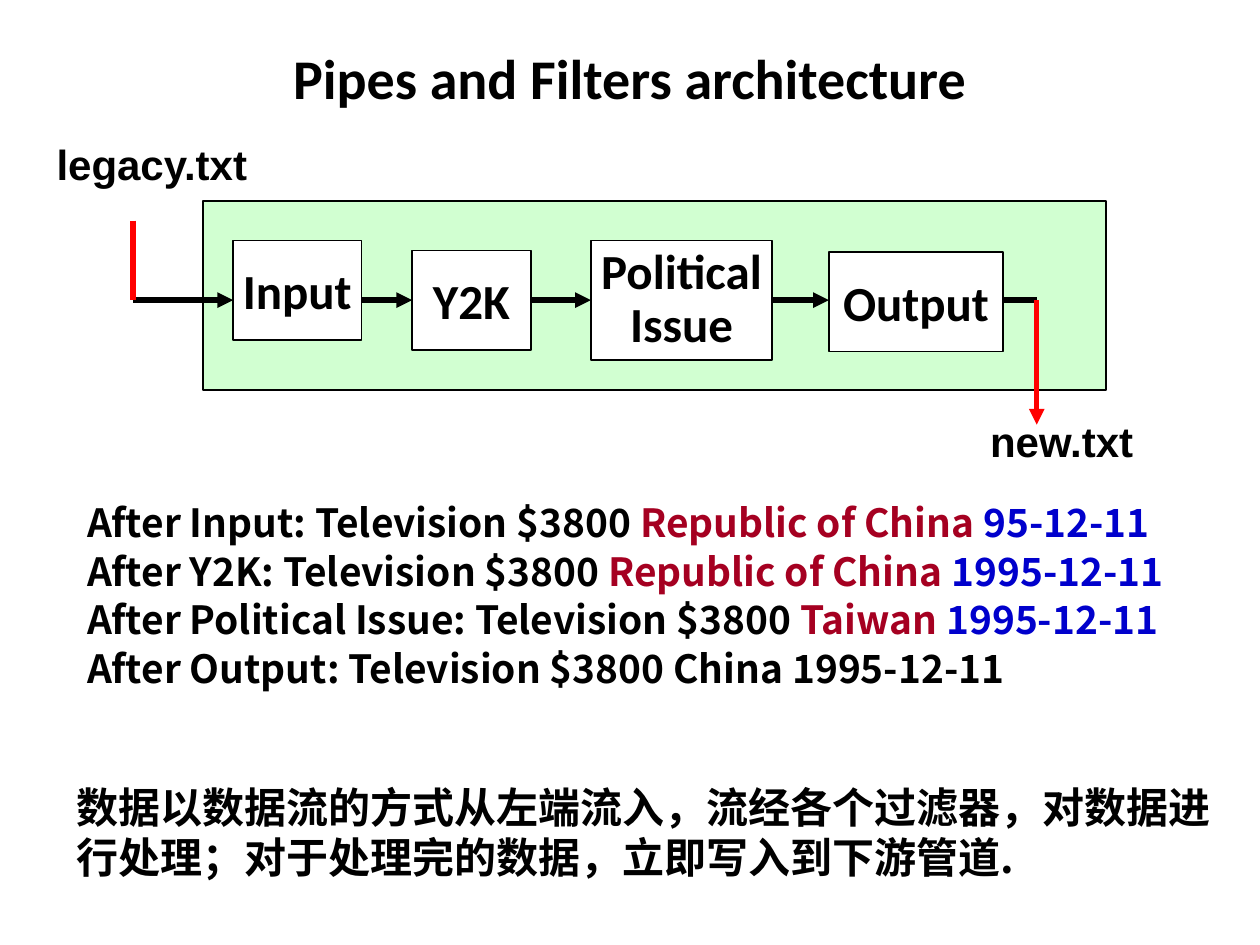
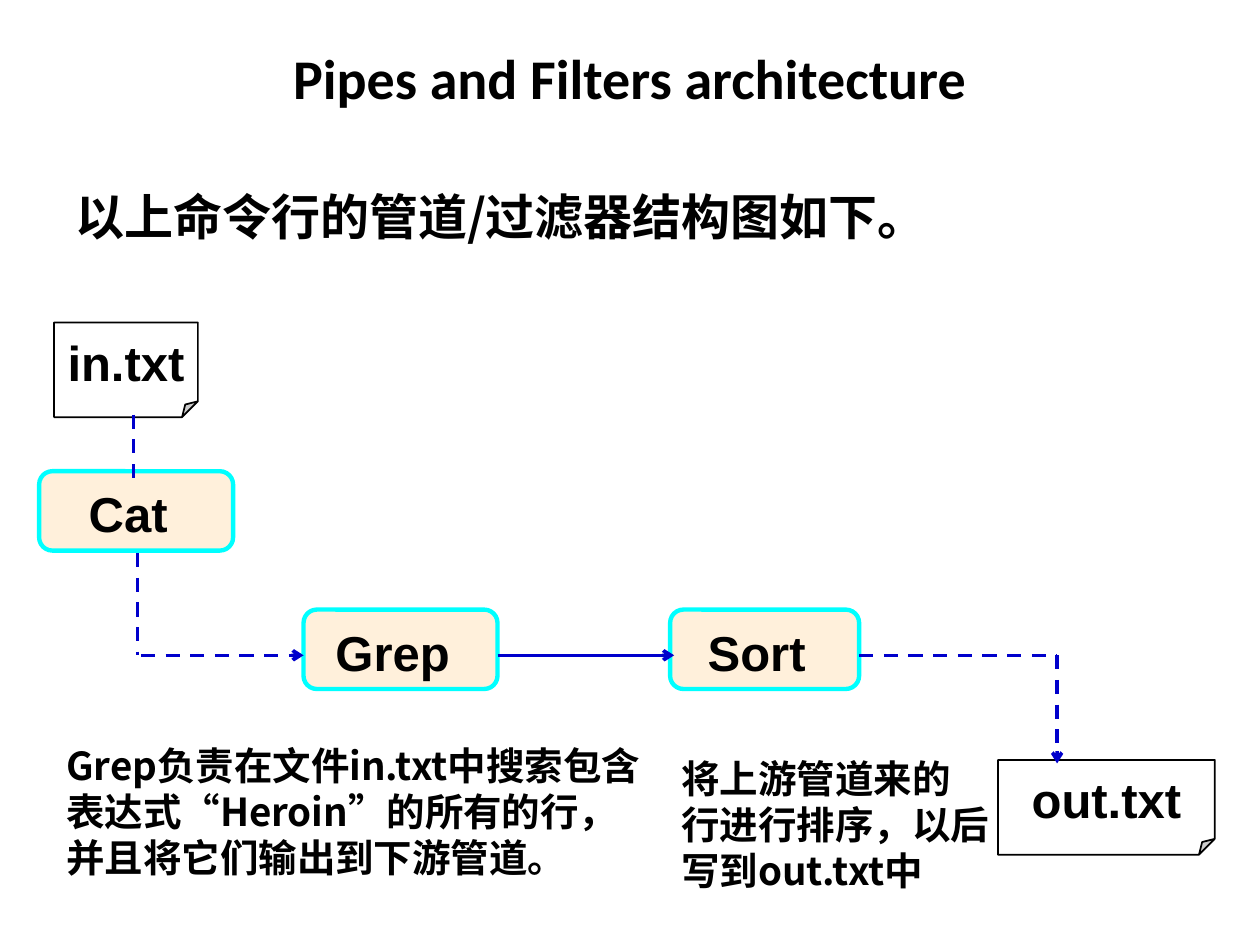
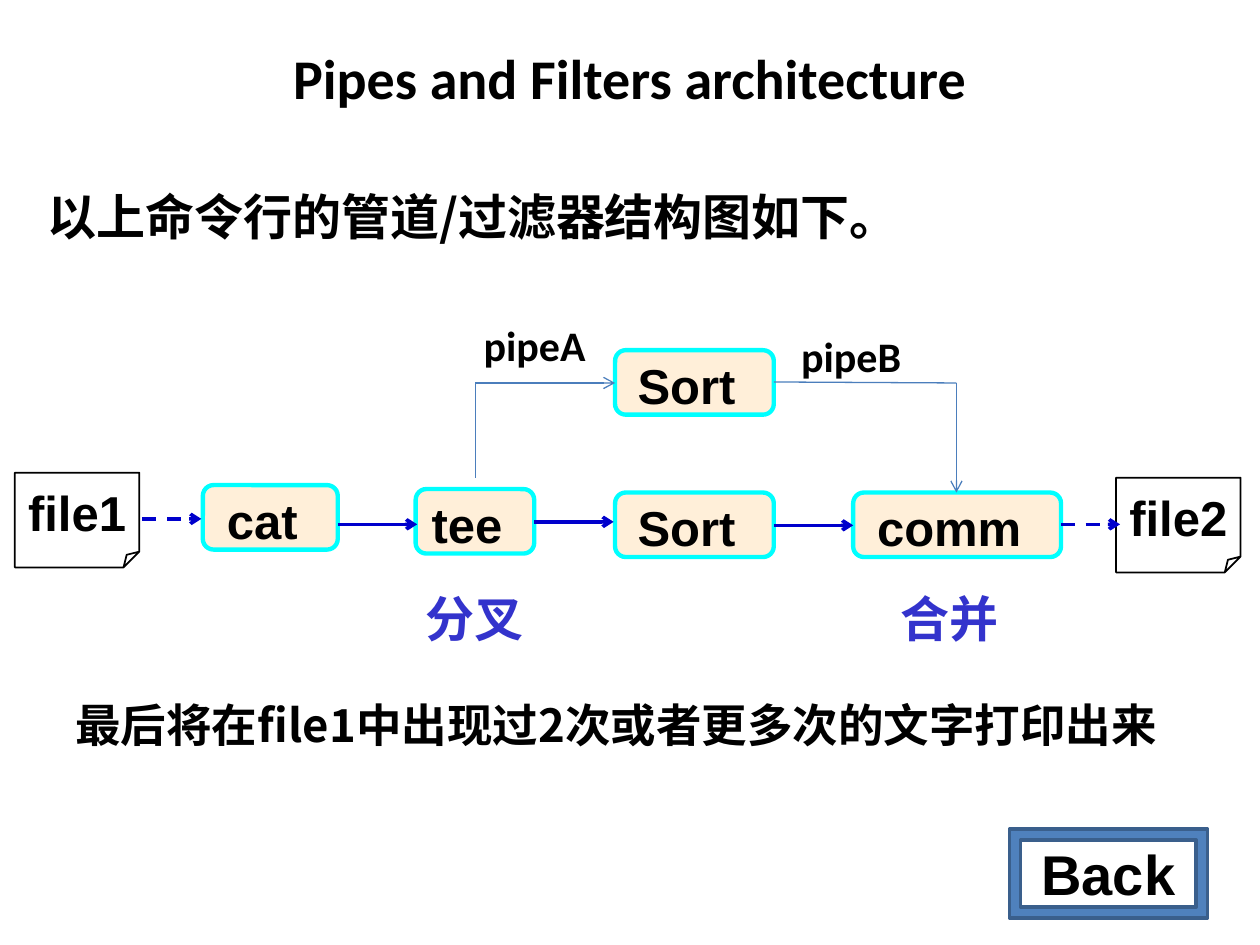
from dataclasses import dataclass

from lxml import etree
from pptx import Presentation
from pptx.dml.color import RGBColor
from pptx.enum.dml import MSO_LINE
from pptx.enum.shapes import MSO_CONNECTOR, MSO_SHAPE
from pptx.enum.text import MSO_ANCHOR, MSO_AUTO_SIZE, PP_ALIGN
from pptx.oxml.ns import qn
from pptx.util import Cm, Pt

RECT = MSO_SHAPE.RECTANGLE
ROUND = MSO_SHAPE.ROUNDED_RECTANGLE
FOLDED = MSO_SHAPE.FOLDED_CORNER
FRAME = MSO_SHAPE.FRAME
STRAIGHT = MSO_CONNECTOR.STRAIGHT
DASH = MSO_LINE.DASH
LEFT, CENTER = PP_ALIGN.LEFT, PP_ALIGN.CENTER
TOP, MIDDLE = MSO_ANCHOR.TOP, MSO_ANCHOR.MIDDLE
NO_FIT = MSO_AUTO_SIZE.NONE


@dataclass(frozen=True)
class Theme:
    heading: str = "Calibri"
    label: str = "Arial"
    text: str = "Noto Sans CJK SC"
    black: str = "000000"
    white: str = "FFFFFF"
    red: str = "FF0000"
    crimson: str = "A50021"
    blue: str = "0000CC"
    indigo: str = "3333CC"
    green: str = "00FF00"
    orange: str = "FF9900"
    cyan: str = "00FFFF"
    branch: str = "4B7EBC"
    button: str = "4F81BD"
    button_edge: str = "3A5F8C"
    title_size: float = 32
    box_size: float = 28
    print_size: float = 26
    note_size: float = 24
    trace_size: float = 22.2
    caption_size: float = 22


T = Theme()
TITLE = "Pipes and Filters architecture"
INTRO = "以上命令行的管道/过滤器结构图如下。"


def rgb(value):
    return RGBColor.from_string(value)


def write(tf, text, *, size, font=T.text, color=T.black, align=LEFT,
          anchor=TOP, wrap=True, before=0, spacing=None, hang=0, insets=None):
    tf.word_wrap = wrap
    tf.auto_size = NO_FIT
    tf.vertical_anchor = anchor
    if insets:
        (tf.margin_left, tf.margin_top,
         tf.margin_right, tf.margin_bottom) = [Cm(v) for v in insets]
    lines = [text] if isinstance(text, str) else text
    for i, line in enumerate(lines):
        p = tf.add_paragraph() if i else tf.paragraphs[0]
        p.alignment = align
        p.space_before = Pt(before if i else 0)
        if spacing:
            p.line_spacing = spacing
        pPr = p._p.get_or_add_pPr()
        pPr.set("marL", str(Cm(hang)))
        pPr.set("indent", str(-Cm(hang)))
        etree.SubElement(pPr, qn("a:buNone"))
        runs = [(line, color)] if isinstance(line, str) else line
        for part, part_color in runs:
            r = p.add_run()
            r.text = part
            r.font.name = font
            r.font.size = Pt(size)
            r.font.bold = True
            r.font.color.rgb = rgb(part_color)
            ea = etree.SubElement(r._r.get_or_add_rPr(), qn("a:ea"))
            ea.set("typeface", T.text)


class Deck:
    def __init__(self):
        self.prs = Presentation()
        self.prs.slide_width = Cm(25.4)
        self.prs.slide_height = Cm(19.05)
        self.s = None

    def slide(self, body, at, **fmt):
        self.s = self.prs.slides.add_slide(self.prs.slide_layouts[1])
        title, content = self.s.placeholders
        self.place(title, (1.27, 0.74, 22.86, 1.4))
        write(title.text_frame, TITLE, size=T.title_size, font=T.heading,
              align=CENTER)
        self.place(content, at)
        write(content.text_frame, body, hang=0.97, **fmt)

    def place(self, sp, at):
        sp.left, sp.top, sp.width, sp.height = [Cm(v) for v in at]

    def text(self, text, at, **fmt):
        sp = self.s.shapes.add_textbox(*[Cm(v) for v in at])
        write(sp.text_frame, text, **fmt)

    def shape(self, kind, at, fill=T.white, alpha=None, edge=T.black, width=1):
        sp = self.s.shapes.add_shape(kind, *[Cm(v) for v in at])
        sp.shadow.inherit = False
        if fill:
            sp.fill.solid()
            sp.fill.fore_color.rgb = rgb(fill)
        else:
            sp.fill.background()
        if alpha:
            clr = sp._element.spPr.find(qn("a:solidFill"))[0]
            etree.SubElement(clr, qn("a:alpha")).set("val", str(alpha * 1000))
        sp.line.color.rgb = rgb(edge)
        sp.line.width = Pt(width)
        return sp

    def stage(self, text, at):
        sp = self.shape(RECT, at)
        write(sp.text_frame, text, size=T.box_size, font=T.heading,
              align=CENTER, anchor=MIDDLE, wrap=False,
              spacing=None if isinstance(text, str) else 0.9)

    def command(self, text, at, alpha):
        sp = self.shape(ROUND, at, T.orange, alpha, T.cyan, 2.5)
        write(sp.text_frame, text, size=T.box_size, font=T.label,
              align=CENTER, anchor=MIDDLE, wrap=False,
              insets=(0, 0.1, 0.32, 0))

    def file(self, text, at, fill=T.white):
        sp = self.shape(FOLDED, at, fill)
        write(sp.text_frame, text, size=T.box_size, font=T.label,
              align=CENTER, wrap=False, insets=(0.25, 0.2, 0.25, 0.2))

    def button(self, text, at):
        sp = self.shape(FRAME, at, T.button, edge=T.button_edge, width=2)
        write(sp.text_frame, text, size=T.title_size, font=T.label,
              align=CENTER, anchor=MIDDLE)

    def line(self, x1, y1, x2, y2, color=T.blue, width=2, dash=False,
             head=None):
        c = self.s.shapes.add_connector(
            STRAIGHT, Cm(x1), Cm(y1), Cm(x2), Cm(y2))
        c.line.color.rgb = rgb(color)
        c.line.width = Pt(width)
        if dash:
            c.line.dash_style = DASH
        if head:
            ln = c.line._get_or_add_ln()
            etree.SubElement(ln, qn("a:tailEnd")).set("type", head)
        etree.SubElement(c._element.spPr, qn("a:effectLst"))


def legacy_pipeline(deck):
    traces = [
        ("Input", "Republic of China ", "95-12-11"),
        ("Y2K", "Republic of China ", "1995-12-11"),
        ("Political Issue", "Taiwan ", "1995-12-11"),
    ]
    body = [[(f"After {step}: Television $3800 ", T.black),
             (place, T.crimson), (date, T.blue)]
            for step, place, date in traces]
    body.append("After Output: Television $3800 China 1995-12-11")
    deck.slide(body, (1.5, 9.93, 23.39, 5), size=T.trace_size, before=1.1)
    deck.text("数据以数据流的方式从左端流入，流经各个过滤器，对数据进行处理；"
              "对于处理完的数据，立即写入到下游管道.",
              (1.3, 15.62, 23.39, 2.31), size=T.note_size)
    deck.shape(RECT, (4.09, 4.06, 18.21, 3.81), T.green, 18)

    pipe_y, source_x, sink_x = 6.05, 2.69, 20.9
    stages = [
        ("Input", (4.7, 4.85, 2.59, 2.01)),
        ("Y2K", (8.31, 5.05, 2.39, 2.01)),
        (["Political", "Issue"], (11.91, 4.85, 3.66, 2.41)),
        ("Output", (16.71, 5.08, 3.51, 2.01)),
    ]
    x = source_x
    for text, at in stages:
        deck.stage(text, at)
        deck.line(x, pipe_y, at[0], pipe_y, T.black, 3, head="triangle")
        x = at[0] + at[2]
    deck.line(x, pipe_y, sink_x, pipe_y, T.black, 3)
    deck.line(source_x, 4.45, source_x, pipe_y, T.red, 3.5)
    deck.line(sink_x, pipe_y, sink_x, 8.56, T.red, 3, head="triangle")
    for name, at in [("legacy.txt", (0.89, 2.67, 4.8, 1.27)),
                     ("new.txt", (19.71, 8.26, 3.61, 1.27))]:
        deck.text(name, at, size=T.note_size, font=T.label)


def grep_sort(deck):
    deck.slide(INTRO, (1.27, 3.63, 18.24, 1.8), size=T.box_size)
    for name, x, y, w in [("Grep", 6.12, 12.29, 3.91),
                          ("Sort", 13.51, 12.29, 3.81),
                          ("Cat", 0.79, 9.5, 3.91)]:
        deck.command(name, (x, y, w, 1.6), 14)
    deck.file("in.txt", (1.09, 6.5, 2.9, 1.91))
    deck.file("out.txt", (20.12, 15.32, 4.37, 1.91))

    pipe_y = 13.21
    deck.line(10.03, pipe_y, 13.59, pipe_y, head="arrow")
    for ends, head in [((2.69, 8.36, 2.69, 9.73), None),
                       ((2.77, 11.15, 2.77, pipe_y), None),
                       ((2.84, pipe_y, 6.12, pipe_y), "arrow"),
                       ((17.32, pipe_y, 21.31, pipe_y), None),
                       ((21.31, pipe_y, 21.31, 15.39), "arrow")]:
        deck.line(*ends, dash=True, head=head)

    deck.text(["Grep负责在文件in.txt中搜索包含",
               "表达式“Heroin”的所有的行，",
               "并且将它们输出到下游管道。"],
              (1.09, 14.83, 12.34, 3.07), size=T.caption_size)
    deck.text(["将上游管道来的", "行进行排序，以后", "写到out.txt中"],
              (13.49, 15.09, 6.78, 3.07), size=T.caption_size)


def tee_comm(deck):
    deck.slide(INTRO, (0.71, 3.63, 17.88, 1.8), size=T.box_size)
    for text, x in [("分叉", 7.87), ("合并", 17.45)]:
        deck.text(text, (x, 11.73, 3.4, 1.45), size=T.box_size,
                  font=T.label, color=T.indigo, align=CENTER)
    for name, x, y, w in [("cat", 4.09, 9.78, 2.72),
                          ("tee", 8.38, 9.86, 2.39),
                          ("Sort", 12.4, 7.06, 3.2),
                          ("Sort", 12.4, 9.93, 3.2),
                          ("comm", 17.2, 9.93, 4.19)]:
        deck.command(name, (x, y, w, 1.3), 15)
    for name, x, y in [("file1", 0.3, 9.53), ("file2", 22.5, 9.63)]:
        deck.file(name, (x, y, 2.51, 1.91), fill=None)

    for x1, x2, y, dash in [(2.87, 4.06, 10.46, True),
                            (6.81, 8.41, 10.57, False),
                            (10.77, 12.37, 10.52, False),
                            (15.6, 17.2, 10.59, False),
                            (21.39, 22.58, 10.57, True)]:
        deck.line(x1, y, x2, y, dash=dash, head="arrow")
    for ends, head in [((9.58, 9.63, 9.58, 7.72), None),
                       ((9.58, 7.72, 12.4, 7.72), "arrow"),
                       ((15.6, 7.7, 19.28, 7.72), None),
                       ((19.28, 7.72, 19.28, 9.93), "arrow")]:
        deck.line(*ends, T.branch, 0.75, head=head)
    for name, x, y in [("pipeA", 9.5, 6.32), ("pipeB", 15.9, 6.53)]:
        deck.text(name, (x, y, 2.79, 1.27), size=T.note_size, font=T.heading)

    deck.text("最后将在file1中出现过2次或者更多次的文字打印出来",
              (1.27, 13.92, 22.48, 1.37), size=T.print_size, hang=1.7)
    deck.button("Back", (20.35, 16.71, 3.99, 1.8))


def main():
    deck = Deck()
    legacy_pipeline(deck)
    grep_sort(deck)
    tee_comm(deck)
    deck.prs.save("out.pptx")


if __name__ == "__main__":
    main()
